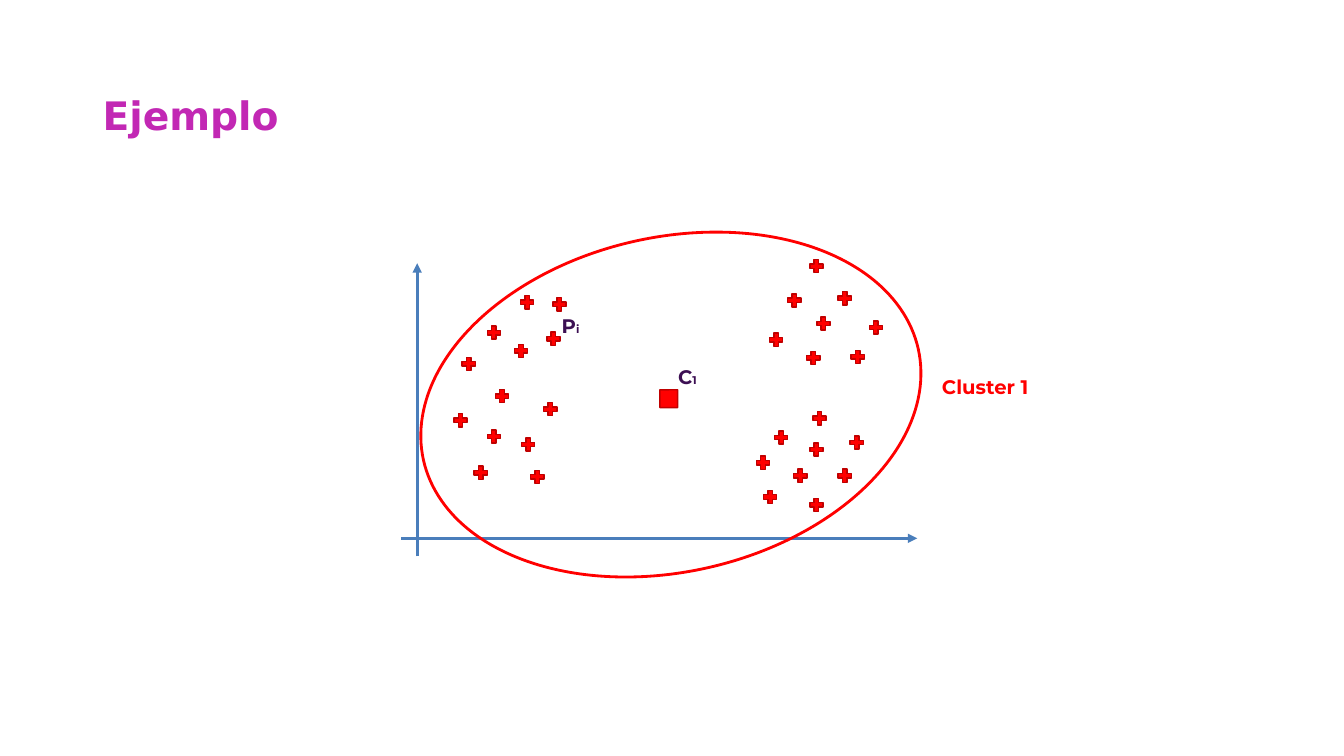
"""Build the slide showing one cluster of points around its centroid."""
import pptx
import pptx.dml.color
import pptx.enum.shapes
import pptx.enum.text
import pptx.util
from pptx.oxml.ns import qn
from lxml import etree

Pt = pptx.util.Pt
RGBColor = pptx.dml.color.RGBColor
MSO_SHAPE = pptx.enum.shapes.MSO_SHAPE

PURPLE = RGBColor(0xC2, 0x28, 0xB4)
INDIGO = RGBColor(0x3C, 0x0F, 0x53)
BLUE = RGBColor(0x4A, 0x7E, 0xBB)
RED = RGBColor(0xFF, 0x00, 0x00)
DARK_RED = RGBColor(0xC0, 0x00, 0x00)

TITLE = "Ejemplo"
AXES = [(298, 397.5, 298, 188), (286.5, 384.5, 655.2, 384.5)]
POINT_GROUPS = {
    "left": [
        (393.1, 292.3), (352.8, 311.8), (383.8, 340.6), (343.4, 337.7),
        (329, 300.2), (358.6, 283), (377.3, 317.5), (334.8, 259.9),
        (372.2, 250.6), (352.8, 237.6), (395.3, 241.9), (399.6, 217.4),
        (376.6, 216),
    ],
    "upper right": [
        (583.2, 190.1), (603.4, 213.1), (567.4, 214.6), (588.2, 231.1),
        (625.7, 234), (581, 255.6), (612.7, 254.9), (554.4, 242.6),
    ],
    "lower right": [
        (545, 330.5), (558, 312.5), (571.7, 339.8), (550.1, 355),
        (583.2, 360.7), (603.4, 339.8), (583.2, 321.1), (612, 316.1),
        (585.4, 298.8),
    ],
}
POINT_SIZE = 9.4
CENTROID = (477.7, 284.8)
CENTROID_SIZE = 18
CLUSTER_CENTER = (479.2, 289)
CLUSTER_SIZE = (362.2, 239)
CLUSTER_ROTATION = 347.3
LABELS = [
    ("Cluster 1", "", RED, 653, 264.2, 101.5),
    ("C", "1", INDIGO, 475.2, 257, 31.7),
    ("P", "i", INDIGO, 391.7, 221, 31.7),
]
LABEL_HEIGHT = 24.5
LABEL_INSET = 3.6


def add_centered_shape(slide, kind, center, size, line_color, line_width, fill=None):
    (x, y), (width, height) = center, size
    shape = slide.shapes.add_shape(
        kind, Pt(x - width / 2), Pt(y - height / 2), Pt(width), Pt(height))
    shape.shadow.inherit = False
    if fill is None:
        shape.fill.background()
    else:
        shape.fill.solid()
        shape.fill.fore_color.rgb = fill
    shape.line.color.rgb = line_color
    shape.line.width = Pt(line_width)
    return shape


def add_axis(slide, ends):
    axis = slide.shapes.add_connector(
        pptx.enum.shapes.MSO_CONNECTOR.STRAIGHT, *map(Pt, ends))
    axis.line.color.rgb = BLUE
    axis.line.width = Pt(2.25)
    etree.SubElement(axis.line._get_or_add_ln(), qn("a:tailEnd"), type="triangle")
    etree.SubElement(axis._element.spPr, qn("a:effectLst"))


def add_label(slide, text, index, color, left, top, width):
    box = slide.shapes.add_textbox(Pt(left), Pt(top), Pt(width), Pt(LABEL_HEIGHT))
    frame = box.text_frame
    frame.word_wrap = True
    frame.margin_left = frame.margin_right = Pt(LABEL_INSET)
    frame.margin_top = frame.margin_bottom = Pt(LABEL_INSET)
    paragraph = frame.paragraphs[0]
    paragraph.alignment = pptx.enum.text.PP_ALIGN.CENTER
    for content, size in ((text, 14), (index, 8)):
        if content:
            run = paragraph.add_run()
            run.text = content
            run.font.name = "Montserrat"
            run.font.size = Pt(size)
            run.font.bold = True
            run.font.color.rgb = color


def add_title(slide):
    title = slide.shapes.title
    title.left, title.top, title.width, title.height = map(Pt, (66.2, 51.1, 828, 65.5))
    title.text_frame.text = TITLE
    title.text_frame.vertical_anchor = pptx.enum.text.MSO_ANCHOR.MIDDLE
    paragraph = title.text_frame.paragraphs[0]
    paragraph.alignment = pptx.enum.text.PP_ALIGN.LEFT
    paragraph.line_spacing = 0.9
    paragraph.font.name = "DejaVu Sans"
    paragraph.font.size = Pt(28)
    paragraph.font.bold = True
    paragraph.font.color.rgb = PURPLE


def main():
    presentation = pptx.Presentation()
    presentation.slide_width, presentation.slide_height = Pt(960), Pt(540)
    slide = presentation.slides.add_slide(presentation.slide_layouts[5])
    add_title(slide)
    for ends in AXES:
        add_axis(slide, ends)
    for centers in POINT_GROUPS.values():
        for center in centers:
            point = add_centered_shape(
                slide, MSO_SHAPE.CROSS, center, (POINT_SIZE, POINT_SIZE), DARK_RED, 1, RED)
            point.adjustments[0] = 0.33
    cluster = add_centered_shape(
        slide, MSO_SHAPE.OVAL, CLUSTER_CENTER, CLUSTER_SIZE, RED, 2)
    cluster.rotation = CLUSTER_ROTATION
    for label in LABELS:
        add_label(slide, *label)
    centroid = add_centered_shape(
        slide, MSO_SHAPE.DIAMOND, CENTROID, (CENTROID_SIZE, CENTROID_SIZE), DARK_RED, 1, RED)
    centroid.rotation = 315
    presentation.save("out.pptx")


if __name__ == "__main__":
    main()
